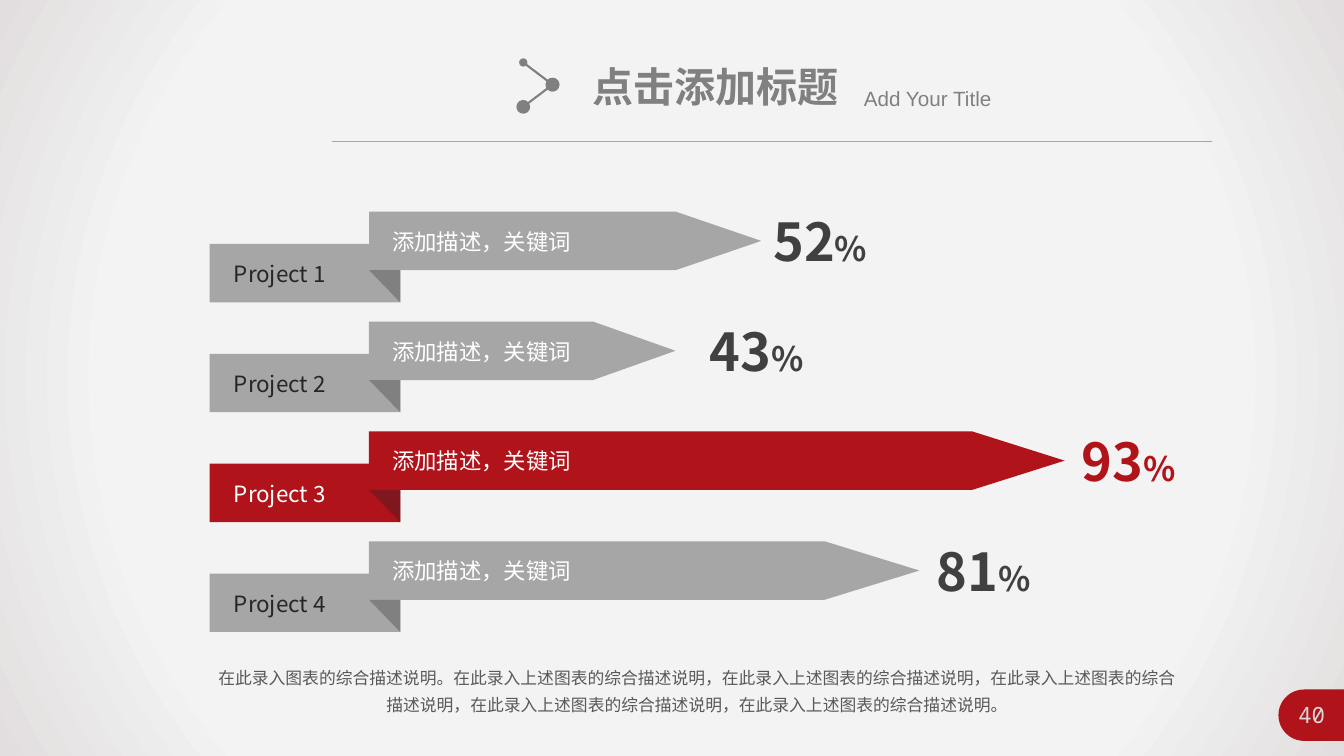
import math

import pptx
import pptx.dml.color
import pptx.enum.shapes
import pptx.enum.text
import pptx.oxml
import pptx.oxml.ns
import pptx.util
from pptx.util import Inches

COLOURS = {
    "centre": "F5F5F5", "mid": "F3F3F3", "edge": "E2DEDF",
    "rule": "A6A6A6", "grey": "808080", "bar": "A6A6A6",
    "red": "B01319", "dark_red": "80161E", "label": "262626",
    "value": "404040", "note": "595959", "number": "D9D9D9", "white": "FFFFFF",
}
CJK = "Noto Sans CJK SC"
SHAPES = pptx.enum.shapes.MSO_SHAPE
ALIGN = pptx.enum.text.PP_ALIGN
DRAWING = pptx.oxml.ns.nsdecls("a")
PROJECTS = [
    ("Project 1", "52", 3.89, 1.46, 7.54),
    ("Project 2", "43", 3.04, 1.41, 6.91),
    ("Project 3", "93", 6.9, 1.58, 10.6),
    ("Project 4", "81", 5.46, 1.62, 9.16),
]
HIGHLIGHT = "Project 3"
NOTE = "在此录入图表的综合描述说明。" + "在此录入上述图表的综合描述说明，" * 4 + "在此录入上述图表的综合描述说明。"


def colour(name):
    """Return the named colour."""
    return pptx.dml.color.RGBColor.from_string(COLOURS[name])


def write(box, parts, tint, font=CJK, bold=False, align=ALIGN.LEFT, inset=(0.1, 0.05), wrap=True):
    """Fill a box with one paragraph made of (text, size) parts."""
    frame = box.text_frame
    frame.word_wrap = wrap
    frame.auto_size = pptx.enum.text.MSO_AUTO_SIZE.NONE
    frame.vertical_anchor = pptx.enum.text.MSO_ANCHOR.TOP
    frame.margin_left = frame.margin_right = Inches(inset[0])
    frame.margin_top = frame.margin_bottom = Inches(inset[1])
    para = frame.paragraphs[0]
    para.alignment = align
    for text, size in parts:
        span = para.add_run()
        span.text = text
        span.font.size = pptx.util.Pt(size)
        span.font.name = font
        span.font.bold = bold
        span.font.color.rgb = colour(tint)
        east_asian = pptx.oxml.parse_xml(f'<a:ea {DRAWING} typeface="{CJK}"/>')
        span.font._element.find(pptx.oxml.ns.qn("a:latin")).addnext(east_asian)
    return para


def add_text(page, left, top, width, height, parts, tint, **options):
    """Add a text box and write its paragraph."""
    box = page.shapes.add_textbox(Inches(left), Inches(top), Inches(width), Inches(height))
    return write(box, parts, tint, **options)


def paint(shape, tint):
    """Give a shape a flat fill without line or shadow."""
    shape.shadow.inherit = False
    shape.fill.solid()
    shape.fill.fore_color.rgb = colour(tint)
    shape.line.fill.background()


def add_block(page, kind, left, top, width, height, tint):
    """Add a flat preset shape."""
    shape = page.shapes.add_shape(kind, Inches(left), Inches(top), Inches(width), Inches(height))
    paint(shape, tint)
    return shape


def add_line(page, start, end, tint, weight, dots=()):
    """Add a straight line, with oval ends of the given sizes if any."""
    line = page.shapes.add_connector(
        pptx.enum.shapes.MSO_CONNECTOR.STRAIGHT, *(Inches(value) for value in (*start, *end)))
    line.line.color.rgb = colour(tint)
    line.line.width = pptx.util.Pt(weight)
    for tag, size in zip(("headEnd", "tailEnd"), dots):
        line.line._get_or_add_ln().append(pptx.oxml.parse_xml(
            f'<a:{tag} {DRAWING} type="oval" w="{size}" len="{size}"/>'))
    line.element.spPr.append(pptx.oxml.parse_xml(f"<a:effectLst {DRAWING}/>"))


def add_background(page):
    """Give the page a circular gradient."""
    page.background.fill.solid()
    stops = "".join(
        f'<a:gs pos="{place * 1000}"><a:srgbClr val="{COLOURS[name]}"/></a:gs>'
        for place, name in ((0, "centre"), (73, "mid"), (100, "edge")))
    gradient = pptx.oxml.parse_xml(
        f'<a:gradFill {DRAWING} rotWithShape="1"><a:gsLst>{stops}</a:gsLst><a:path path="circle">'
        '<a:fillToRect l="50000" t="50000" r="50000" b="50000"/></a:path></a:gradFill>')
    flat = next(page.element.iter(pptx.oxml.ns.qn("a:solidFill")))
    flat.getparent().replace(flat, gradient)


def add_header(page, left, top):
    """Place the icon, title, subtitle and rule."""
    title = page.shapes.title
    title.left, title.top = Inches(left + 0.59), Inches(top - 0.06)
    title.width, title.height = Inches(2.67), Inches(0.59)
    write(title, [("点击添加标题", 29.3)], "grey", font="Arial", bold=True, wrap=False)
    add_text(page, left + 3.28, top + 0.18, 2.52, 0.35, [("Add Your Title", 14.7)], "grey", font="Arial")
    joint = (left + 0.29, top + 0.22)
    add_line(page, (left, top), joint, "grey", 1.5, ("med", "lg"))
    add_line(page, joint, (left, top + 0.44), "grey", 1.5, ("lg", "lg"))
    add_line(page, (3.29, 1.4), (12.02, 1.4), "rule", 0.5)


def add_project(page, left, top, project):
    """Place one folded ribbon with its label, description and value."""
    name, value, length, point, value_left = project
    strong = name == HIGHLIGHT
    bar = "red" if strong else "bar"
    inset = (0.13, 0.07)
    add_block(page, SHAPES.RECTANGLE, left, top + 0.32, 1.89, 0.58, bar)
    arrow = add_block(page, SHAPES.PENTAGON, left + 1.58, top, length, 0.58, bar)
    arrow.adjustments[0] = point
    fold = add_block(page, SHAPES.RIGHT_TRIANGLE, left + 1.58, top + 0.58, 0.31, 0.32,
                     "dark_red" if strong else "grey")
    fold.rotation = 180
    add_text(page, left + 0.11, top + 0.41, 1.21, 0.4, [(name, 16)],
             "white" if strong else "label", inset=inset)
    add_text(page, left + 1.68, top + 0.09, 2.94, 0.4, [("添加描述，关键词", 16)], "white", inset=inset)
    add_text(page, value_left, top - 0.09, 1.26, 0.76, [(value, 37.3), ("%", 24)],
             "red" if strong else "value", bold=True, inset=inset)


def add_note(page, left, top, width, height):
    """Place the summary under the ribbons."""
    para = add_text(page, left, top, width, height, [(NOTE, 12)], "note", align=ALIGN.CENTER)
    para.line_spacing = 1.3


def add_page_number(page, left, top, right, height):
    """Place the page number on a tab with a round left end."""
    radius = height / 2
    angles = [math.radians(90 + 6 * step) for step in range(31)]
    arc = [(left + radius + radius * math.cos(angle), top + radius + radius * math.sin(angle))
           for angle in angles]
    outline = page.shapes.build_freeform(Inches(right), Inches(top + height))
    outline.add_line_segments([(Inches(x), Inches(y)) for x, y in arc + [(right, top)]])
    paint(outline.convert_to_shape(), "red")
    add_text(page, left + 0.03, top + 0.07, 0.6, 0.37, [("40", 16)], "number",
             font="Noto Sans Mono", align=ALIGN.CENTER)


def main():
    """Build and save the deck."""
    deck = pptx.Presentation()
    deck.slide_width, deck.slide_height = Inches(13.33), Inches(7.5)
    page = deck.slides.add_slide(deck.slide_layouts[5])
    add_background(page)
    add_page_number(page, 12.68, 6.84, 13.33, 0.51)
    add_header(page, 5.19, 0.62)
    for row, project in enumerate(PROJECTS):
        add_project(page, 2.08, 2.1 + 1.09 * row, project)
    add_note(page, 2.04, 6.52, 9.75, 0.63)
    deck.save("out.pptx")


if __name__ == "__main__":
    main()
